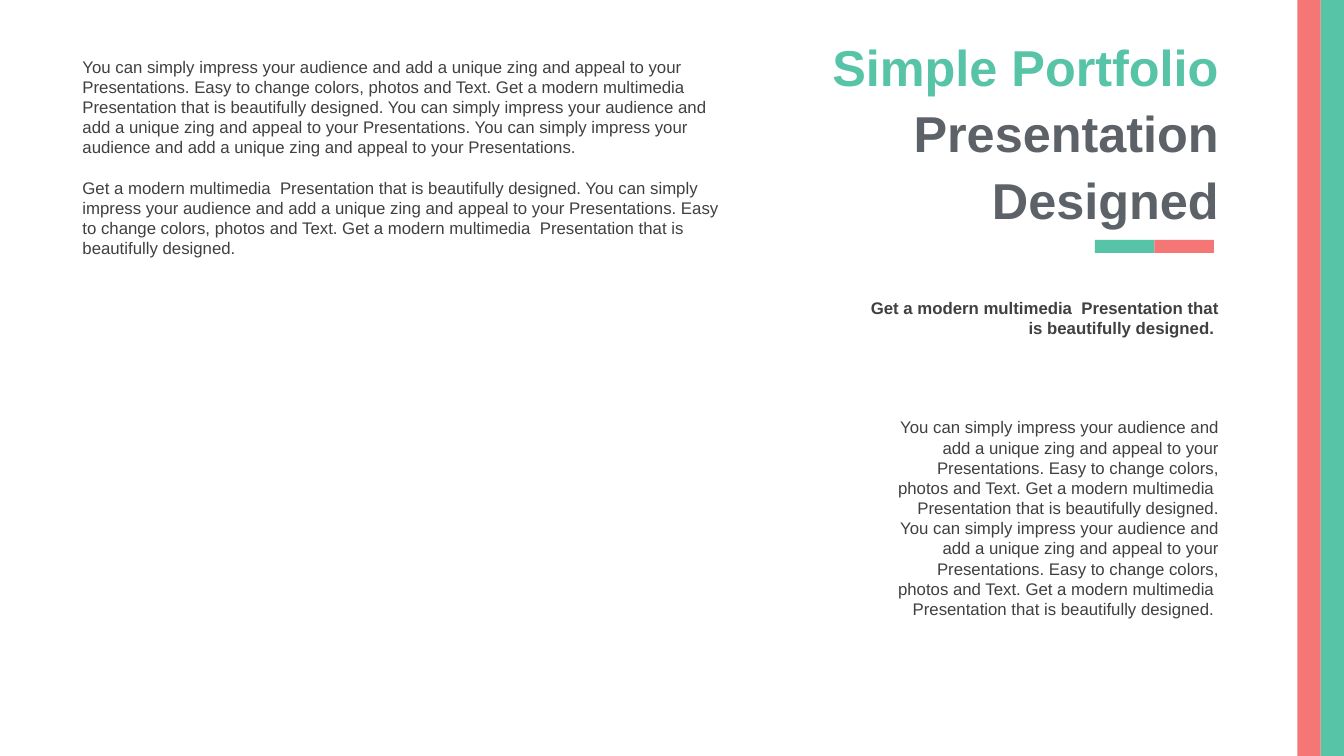
from pptx import Presentation
from pptx.dml.color import RGBColor
from pptx.enum.shapes import MSO_SHAPE
from pptx.enum.text import MSO_ANCHOR, MSO_AUTO_SIZE, PP_ALIGN
from pptx.util import Inches, Pt

GREEN = RGBColor(0x57, 0xC3, 0xA7)
CORAL = RGBColor(0xF4, 0x77, 0x75)
SLATE = RGBColor(0x5D, 0x62, 0x68)
CHARCOAL = RGBColor(0x40, 0x40, 0x40)

IMPRESS = ("You can simply impress your audience and add a unique zing "
           "and appeal to your Presentations.")
EASY = "Easy to change colors, photos and Text."
MODERN = "Get a modern multimedia  Presentation that is beautifully designed."

RIGHT_EDGE = 91.44
STRIPE_WIDTH = 1.73
ACCENT_LEFT, ACCENT_WIDTH = 81.47, 4.43


class PortfolioSlide:
    """Draws on one slide; every box is left, top, width, height in percent."""

    font_name = "Arial"
    title_size = Pt(36)
    body_size = Pt(12)
    paragraph_gap = Pt(14.4)

    def __init__(self, presentation):
        self.width = presentation.slide_width
        self.height = presentation.slide_height
        self.slide = presentation.slides.add_slide(presentation.slide_layouts[5])

    def place(self, box):
        """Turn percentages of the slide into lengths."""
        sides = (self.width, self.height) * 2
        return [round(side * share / 100) for side, share in zip(sides, box)]

    def add_run(self, paragraph, text, size, color, bold):
        run = paragraph.add_run()
        run.text = text
        run.font.name = self.font_name
        run.font.size = size
        run.font.bold = bold
        run.font.color.rgb = color

    def bar(self, box, color):
        shape = self.slide.shapes.add_shape(MSO_SHAPE.RECTANGLE, *self.place(box))
        shape.shadow.inherit = False
        shape.fill.solid()
        shape.fill.fore_color.rgb = color
        shape.line.fill.background()

    def title(self, box, colored_parts):
        shape = self.slide.shapes.title
        shape.left, shape.top, shape.width, shape.height = self.place(box)
        frame = shape.text_frame
        frame.word_wrap = True
        frame.auto_size = MSO_AUTO_SIZE.NONE
        frame.vertical_anchor = MSO_ANCHOR.MIDDLE
        paragraph = frame.paragraphs[0]
        paragraph.alignment = PP_ALIGN.RIGHT
        paragraph.line_spacing = 1.1
        for text, color in colored_parts:
            self.add_run(paragraph, text, self.title_size, color, True)

    def text(self, box, paragraphs, alignment=PP_ALIGN.RIGHT, bold=False):
        frame = self.slide.shapes.add_textbox(*self.place(box)).text_frame
        frame.word_wrap = True
        frame.auto_size = MSO_AUTO_SIZE.SHAPE_TO_FIT_TEXT
        for index, text in enumerate(paragraphs):
            paragraph = frame.add_paragraph() if index else frame.paragraphs[0]
            paragraph.alignment = alignment
            if index:
                paragraph.space_before = self.paragraph_gap
            self.add_run(paragraph, text, self.body_size, CHARCOAL, bold)


def sentences(*parts):
    return " ".join(parts)


def main():
    presentation = Presentation()
    presentation.slide_width = Inches(13.33)
    presentation.slide_height = Inches(7.5)
    portfolio = PortfolioSlide(presentation)

    for position, color in enumerate((GREEN, CORAL), start=1):
        portfolio.bar((100 - position * STRIPE_WIDTH, 0, STRIPE_WIDTH, 100), color)

    portfolio.title((58.06, 6.4, RIGHT_EDGE - 58.06, 21.47),
                    [("Simple Portfolio ", GREEN), ("Presentation Designed", SLATE)])
    portfolio.text((62.94, 38.67, RIGHT_EDGE - 62.94, 6.67),
                   [MODERN + " "], bold=True)
    portfolio.text((66.02, 54.53, RIGHT_EDGE - 66.02, 28.27),
                   [sentences(*[IMPRESS, EASY, MODERN] * 2) + " "])
    portfolio.text((5.4, 6.8, 49.89, 28.27),
                   [sentences(IMPRESS, EASY, MODERN, IMPRESS, IMPRESS),
                    sentences(MODERN, IMPRESS, EASY, MODERN)],
                   alignment=PP_ALIGN.LEFT)

    for position, color in enumerate((GREEN, CORAL)):
        left = ACCENT_LEFT + position * ACCENT_WIDTH
        portfolio.bar((left, 31.73, ACCENT_WIDTH, 1.73), color)

    presentation.save("out.pptx")


if __name__ == "__main__":
    main()
